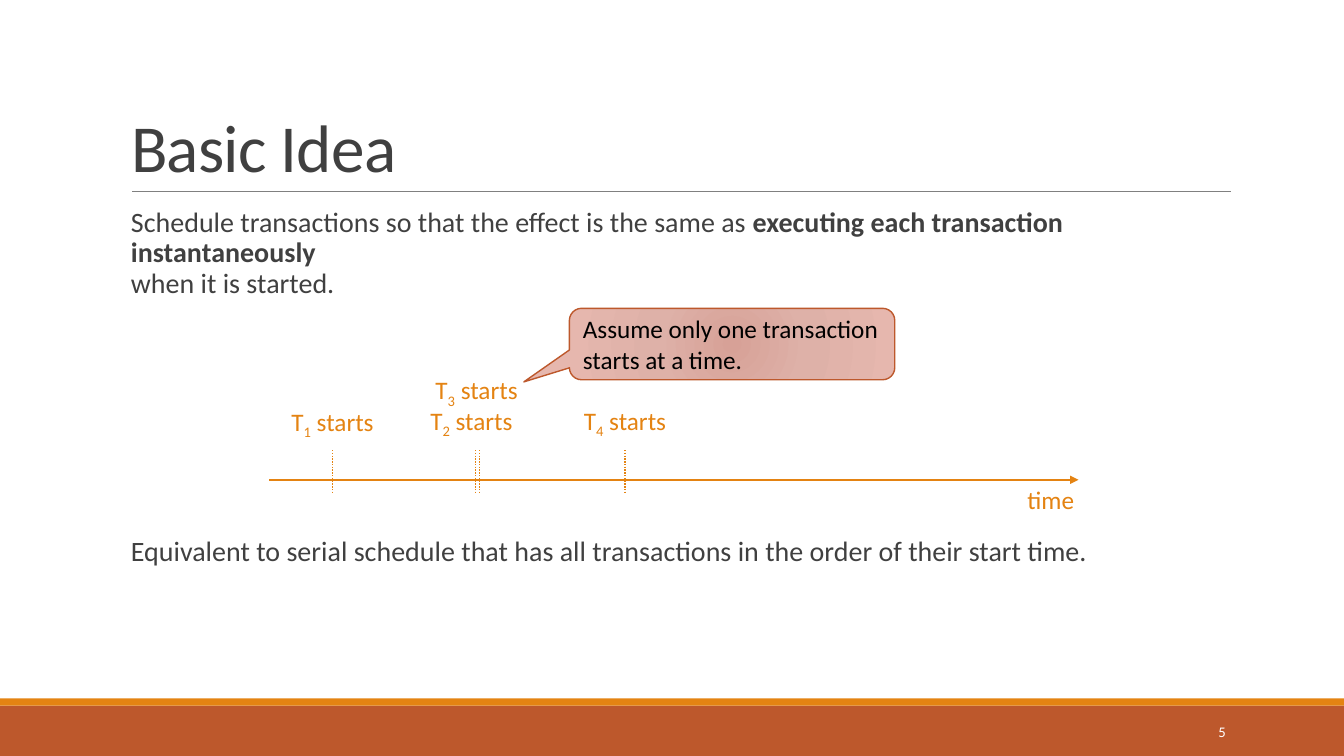
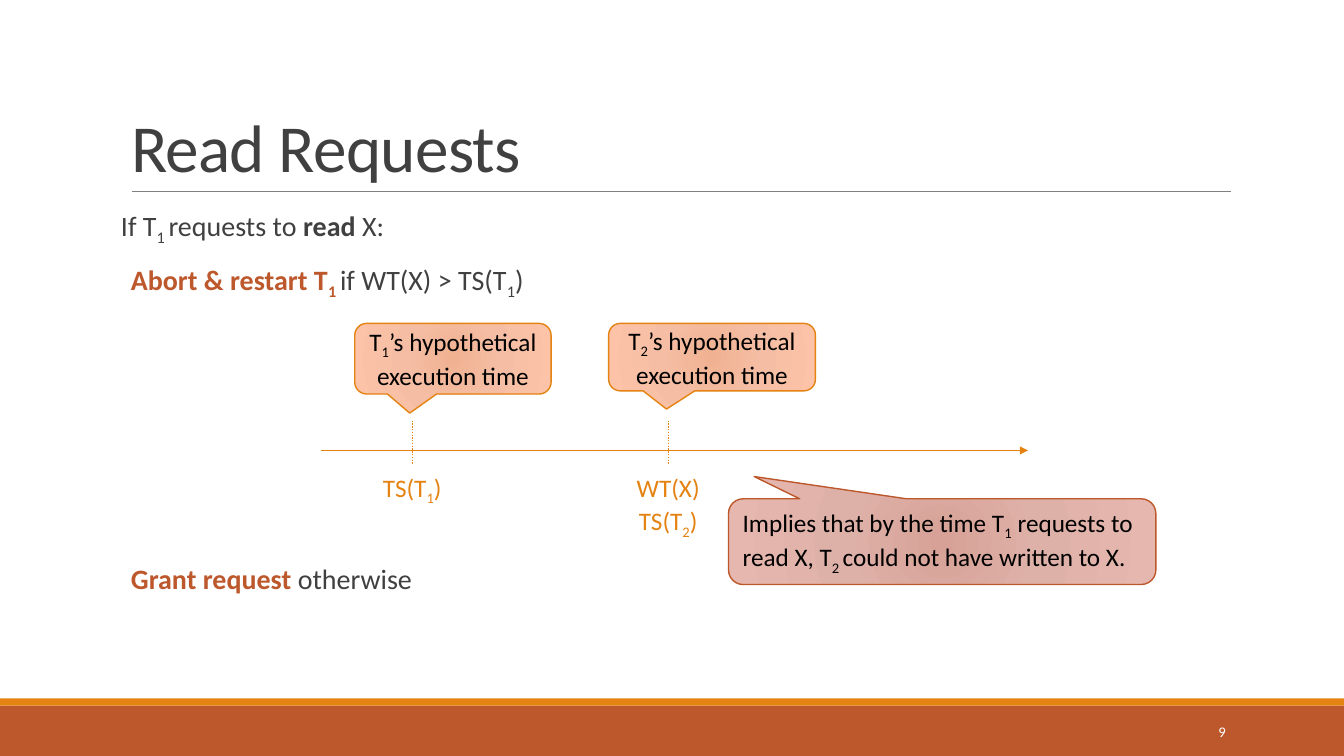
from dataclasses import dataclass

from pptx import Presentation
from pptx.dml.color import RGBColor
from pptx.enum.dml import MSO_LINE
from pptx.enum.shapes import MSO_CONNECTOR, MSO_SHAPE
from pptx.enum.text import MSO_ANCHOR as Anchor, PP_ALIGN as Align
from pptx.oxml import parse_xml
from pptx.oxml.ns import nsdecls, qn
from pptx.oxml.xmlchemy import OxmlElement
from pptx.util import Cm, Pt


@dataclass(frozen=True)
class Theme:
    font: str = "Calibri"
    ink: str = "404040"
    black: str = "000000"
    white: str = "FFFFFF"
    orange: str = "E48312"
    rust: str = "BD582C"
    rule: str = "808080"
    orange_tints: tuple = ("F0B191", "F5BEA4", "FDC3A8")
    rust_tints: tuple = ("D7A197", "DEB1A8", "E6B7AE")
    title_size: float = 48
    body_size: float = 20
    label_size: float = 18
    number_size: float = 10.5


THEME = Theme()
PAGE_WIDTH, PAGE_HEIGHT = 33.87, 19.05
BODY_LEFT, BODY_WIDTH, BODY_INDENT = 3.05, 27.94, 0.25
STRONG = {"bold": True, "color": THEME.rust}


def rgb(value):
    return RGBColor.from_string(value)


def add_text(para, text, size, color, bold=False):
    """Add text in which every second part between bars is a subscript."""
    for index, part in enumerate(text.split("|")):
        if not part:
            continue
        span = para.add_run()
        span.text = part
        for name, value in {"name": THEME.font, "size": Pt(size), "bold": bold}.items():
            setattr(span.font, name, value)
        span.font.color.rgb = rgb(color)
        if index % 2:
            span.font._element.set("baseline", "-25000")


def add_box(page, left, top, width, height, **frame_format):
    box = page.shapes.add_textbox(Cm(left), Cm(top), Cm(width), Cm(height))
    for name, value in {"word_wrap": True, **frame_format}.items():
        setattr(box.text_frame, name, value)
    return box.text_frame


def add_line(page, start, end, color, weight, dash=None, arrow=False):
    line = page.shapes.add_connector(MSO_CONNECTOR.STRAIGHT, *map(Cm, start + end))
    line.line.color.rgb = rgb(color)
    line.line.width = Pt(weight)
    if dash:
        line.line.dash_style = dash
    if arrow:
        head = OxmlElement("a:tailEnd")
        head.set("type", "triangle")
        line.line._get_or_add_ln().append(head)
    line._element.spPr.append(OxmlElement("a:effectLst"))


def add_band(page, top, height, color):
    band = page.shapes.add_shape(
        MSO_SHAPE.RECTANGLE, 0, Cm(top), Cm(PAGE_WIDTH), Cm(height))
    band.shadow.inherit = False
    band.fill.solid()
    band.fill.fore_color.rgb = rgb(color)
    band.line.fill.background()


def add_title(page, text):
    title = page.shapes.title
    place = {"left": BODY_LEFT, "top": 0.79, "width": BODY_WIDTH, "height": 4.03}
    for name, value in place.items():
        setattr(title, name, Cm(value))
    title.text_frame.vertical_anchor = Anchor.BOTTOM
    para = title.text_frame.paragraphs[0]
    para.alignment, para.line_spacing = Align.LEFT, 0.85
    add_text(para, text, THEME.title_size, THEME.ink)
    para.runs[0].font._element.set("spc", "-50")


def add_page(deck, title, number):
    """Add a titled page with its rule, footer bands and number."""
    page = deck.slides.add_slide(deck.slide_layouts.get_by_name("Title Only"))
    add_band(page, 17.78, 1.27, THEME.rust)
    add_band(page, 17.6, 0.18, THEME.orange)
    add_line(page, (3.33, 4.82), (31.01, 4.82), THEME.rule, 0.5)
    add_title(page, title)
    frame = add_box(page, 27.51, 17.93, 3.63, 1.02, vertical_anchor=Anchor.MIDDLE)
    frame.paragraphs[0].alignment = Align.RIGHT
    add_text(frame.paragraphs[0], str(number), THEME.number_size, THEME.white)
    return page


def add_body(page, top, height, paragraphs):
    """Each paragraph is an indent and lines; each line is (text, format) pairs."""
    frame = add_box(page, BODY_LEFT, top, BODY_WIDTH, height,
                    margin_left=0, margin_right=0)
    for index, (indent, lines) in enumerate(paragraphs):
        para = frame.add_paragraph() if index else frame.paragraphs[0]
        para._p.get_or_add_pPr().set("marL", str(Cm(indent)))
        para.line_spacing = 0.9
        para.space_before = Pt(12 if index else 0)
        para.space_after = Pt(2)
        for line_index, line in enumerate(lines):
            if line_index:
                para.add_line_break()
            for text, text_format in line:
                add_text(para, text, **{"size": THEME.body_size, "color": THEME.ink,
                                        **text_format})


def add_timeline(page, left, top, width, ticks, labels):
    """Draw an axis; ticks and labels are measured from its left end."""
    add_line(page, (left, top), (left + width, top), THEME.orange, 1.25, arrow=True)
    for offset in ticks:
        x = left + offset
        add_line(page, (x, top - 0.75), (x, top + 0.33), THEME.orange, 1,
                 dash=MSO_LINE.ROUND_DOT)
    label_width = 2.64
    for text, centre, drop in labels:
        frame = add_box(page, left + centre - label_width / 2, top + drop,
                        label_width, 1.02, word_wrap=False)
        frame.paragraphs[0].alignment = Align.CENTER
        add_text(frame.paragraphs[0], text, THEME.label_size, THEME.orange)


def add_callout(page, place, pointer, text, tints, outline, align=Align.LEFT):
    callout = page.shapes.add_shape(
        MSO_SHAPE.ROUNDED_RECTANGULAR_CALLOUT, *map(Cm, place))
    callout.shadow.inherit = False
    for index, value in enumerate((*pointer, 0.17)):
        callout.adjustments[index] = value
    callout.fill.gradient()
    stops = "".join(
        f'<a:gs pos="{position}"><a:srgbClr val="{tint}"/></a:gs>'
        for position, tint in zip((0, 45000, 100000), tints))
    gradient = parse_xml(
        f'<a:gradFill {nsdecls("a")} rotWithShape="1"><a:gsLst>{stops}</a:gsLst>'
        '<a:path path="circle"><a:fillToRect l="100000" t="100000" '
        'r="100000" b="100000"/></a:path></a:gradFill>')
    properties = callout._element.spPr
    properties.replace(properties.find(qn("a:gradFill")), gradient)
    callout.line.color.rgb = rgb(outline)
    callout.line.width = Pt(1)
    frame = callout.text_frame
    frame.word_wrap, frame.vertical_anchor = True, Anchor.MIDDLE
    frame.paragraphs[0].alignment = align
    add_text(frame.paragraphs[0], text, THEME.label_size, THEME.black)


def add_basic_idea(deck):
    page = add_page(deck, "Basic Idea", 5)
    add_body(page, 5.13, 2.6, [(BODY_INDENT, [
        [("Schedule transactions so that the effect is the same as ", {}),
         ("executing each transaction instantaneously ", {"bold": True})],
        [("when it is started.", {})],
    ])])
    add_body(page, 13.41, 1.1, [(BODY_INDENT, [
        [("Equivalent to serial schedule that has all transactions "
          "in the order of their start time.", {})],
    ])])
    add_callout(page, (14.35, 7.77, 8.2, 1.8), (-0.64, 0.53),
                "Assume only one transaction starts at a time.",
                THEME.rust_tints, THEME.rust)
    add_timeline(page, 6.78, 12.09, 20.4, (1.6, 5.21, 5.31, 8.97), [
        ("T|1| starts", 1.6, -1.98),
        ("T|2| starts", 5.1, -2),
        ("T|3| starts", 5.23, -2.77),
        ("T|4| starts", 8.97, -2),
        ("time", 19.7, 0),
    ])


def add_read_requests(deck):
    page = add_page(deck, "Read Requests", 9)
    add_body(page, 5.13, 2.6, [
        (0, [[("If T|1 |requests to ", {}), ("read", {"bold": True}), (" X:", {})]]),
        (BODY_INDENT, [[("Abort & restart T|1 ", STRONG),
                        ("if WT(X) > TS(T|1|)", {})]]),
    ])
    add_body(page, 14.12, 1.1, [
        (BODY_INDENT, [[("Grant request ", STRONG), ("otherwise", {})]]),
    ])
    first, second = 2.29, 8.74
    add_timeline(page, 8.1, 11.35, 17.81, (first, second), [
        ("TS(T|1|)", first, 0.43),
        ("WT(X)", second, 0.43),
        ("TS(T|2|)", second, 1.27),
    ])
    for number, left, width, height in ((1, 8.94, 4.95, 1.78), (2, 15.34, 5.21, 1.7)):
        add_callout(page, (left, 8.15, width, height), (-0.22, 0.77),
                    f"T|{number}|’s hypothetical execution time",
                    THEME.orange_tints, THEME.orange, Align.CENTER)
    add_callout(page, (18.36, 12.57, 10.77, 2.16), (-0.44, -0.76),
                "Implies that by the time T|1| requests to read X, "
                "T|2 |could not have written to X.",
                THEME.rust_tints, THEME.rust)


def main():
    deck = Presentation()
    deck.slide_width, deck.slide_height = Cm(PAGE_WIDTH), Cm(PAGE_HEIGHT)
    add_basic_idea(deck)
    add_read_requests(deck)
    deck.save("out.pptx")


if __name__ == "__main__":
    main()
